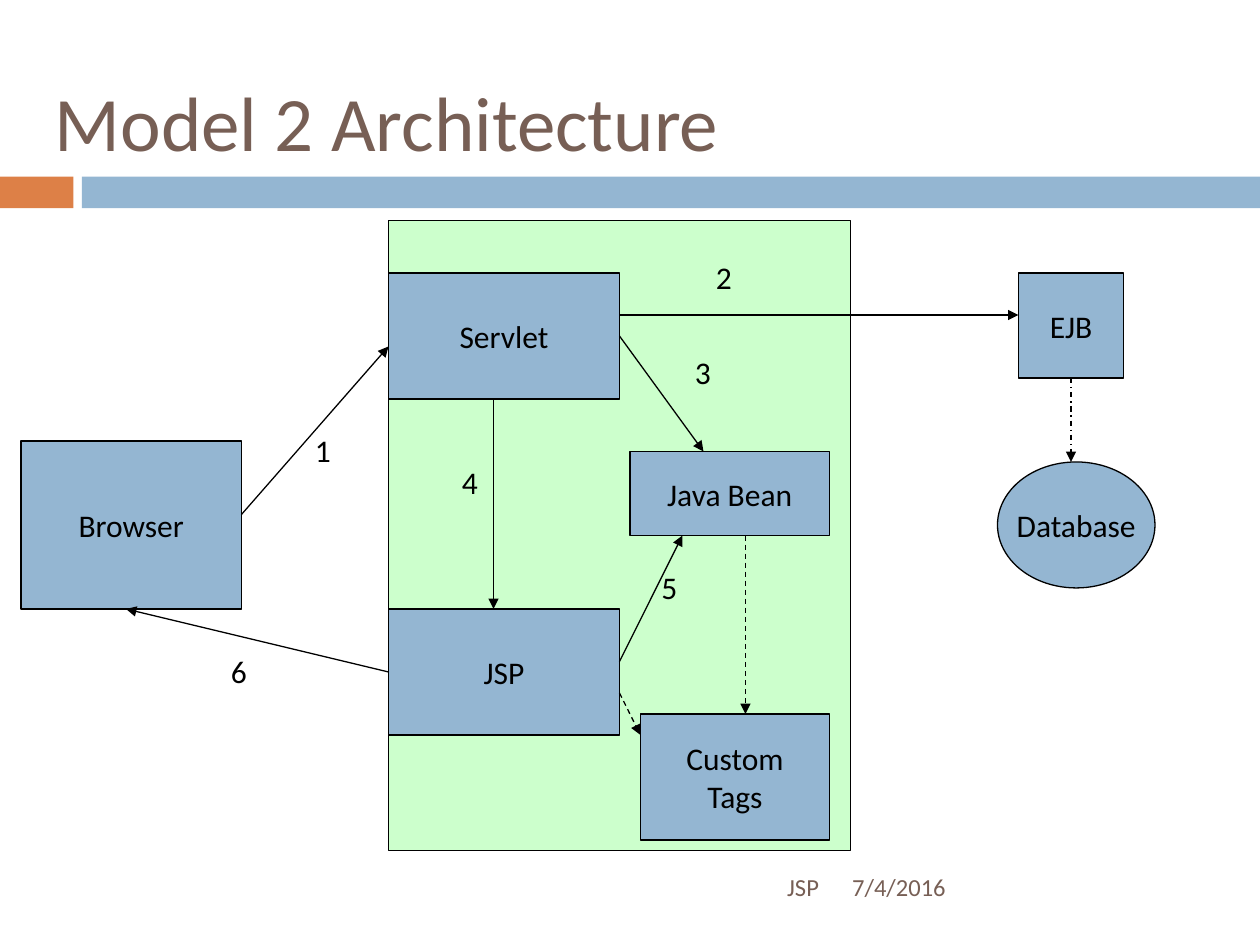
from lxml import etree
from pptx import Presentation
from pptx import util as u
from pptx.dml.color import RGBColor
from pptx.enum import dml, shapes, text
from pptx.oxml.ns import qn

UNIT = 2.54 / 12  # the diagram sits on a grid of this many cm
FONT = "Calibri"
HUES = {"ink": "000000", "brown": "775F55", "blue": "94B6D2",
        "orange": "DD8047", "green": "CCFFCC"}
RECT, OVAL = shapes.MSO_SHAPE.RECTANGLE, shapes.MSO_SHAPE.OVAL
LEFT, MID, RIGHT = text.PP_ALIGN.LEFT, text.PP_ALIGN.CENTER, text.PP_ALIGN.RIGHT
DASH, DOT = dml.MSO_LINE.DASH, dml.MSO_LINE.DASH_DOT

TITLE = ("Model 2 Architecture", (0.85, 0.85, 23.05, 3.18))
BARS = [("orange", (0, 3.56, 1.48, 0.64)), ("blue", (1.65, 3.56, 23.75, 0.64))]
FOOT = [("7/4/2016", LEFT, (16.93, 17.36, 7.41, 1.02)),
        ("JSP", RIGHT, (1.69, 17.36, 15.07, 1.02))]

# Grid units from here on
SERVER = (37, 21, 44, 60)
NODES = [
    (["Browser"], RECT, (2, 42, 21, 16)),
    (["JSP"], RECT, (37, 58, 22, 12)),
    (["Java Bean"], RECT, (60, 43, 19, 8)),
    (["Database"], OVAL, (95, 44, 15, 12)),
    (["Custom", "Tags"], RECT, (61, 68, 18, 12)),
    (["EJB"], RECT, (97, 26, 10, 10)),
    (["Servlet"], RECT, (37, 26, 22, 12)),
]
ARROWS = [
    ((23, 49, 37, 33), None),
    ((59, 30, 97, 30), None),
    ((59, 32, 67, 43), None),
    ((47, 38, 47, 58), None),
    ((59, 63, 65, 51), None),
    ((37, 64, 12, 58), None),
    ((102, 36, 102, 44), DOT),
    ((59, 66, 61, 70), DASH),
    ((71, 51, 71, 68), DASH),
]
STEPS = [("1", 28.8, 40.5), ("2", 67, 24), ("3", 65, 33),
         ("4", 42.8, 43.5), ("5", 61.8, 53.5), ("6", 20.8, 61.5)]


def hue(name):
    return RGBColor.from_string(HUES[name])


def cm(box):
    return [u.Cm(n) for n in box]


def grid(box):
    return cm(n * UNIT for n in box)


def write(shape, lines, size, tint="ink", align=LEFT,
          anchor=text.MSO_ANCHOR.MIDDLE, wrap=True):
    frame = shape.text_frame
    frame.word_wrap = wrap
    frame.vertical_anchor = anchor
    for i, line in enumerate(lines):
        para = frame.add_paragraph() if i else frame.paragraphs[0]
        para.alignment = align
        run = para.add_run()
        run.text = line
        run.font.name, run.font.size = FONT, u.Pt(size)
        run.font.color.rgb = hue(tint)
    return frame


def block(kind, box, tint, edge=True):
    shape = slide.shapes.add_shape(kind, *box)
    shape.shadow.inherit = False
    shape.fill.solid()
    shape.fill.fore_color.rgb = hue(tint)
    if edge:
        shape.line.color.rgb = hue("ink")
        shape.line.width = u.Pt(0.75)
    else:
        shape.line.fill.background()
    return shape


def arrow(ends, dash):
    link = slide.shapes.add_connector(shapes.MSO_CONNECTOR.STRAIGHT, *grid(ends))
    link.line.color.rgb = hue("ink")
    link.line.width = u.Pt(0.75)
    if dash:
        link.line.dash_style = dash
    props = link.line._get_or_add_ln()
    etree.SubElement(props, qn("a:tailEnd"), type="triangle")
    etree.SubElement(props.getparent(), qn("a:effectLst"))


deck = Presentation()
deck.slide_width, deck.slide_height = cm((25.4, 19.05))
slide = deck.slides.add_slide(deck.slide_layouts[5])

for tint, box in BARS:
    block(RECT, cm(box), tint, edge=False)

head = slide.shapes.title
head.left, head.top, head.width, head.height = cm(TITLE[1])
write(head, [TITLE[0]], 44, "brown").auto_size = text.MSO_AUTO_SIZE.NONE

for words, align, box in FOOT:
    write(slide.shapes.add_textbox(*cm(box)), [words], 14, "brown", align)

block(RECT, grid(SERVER), "green")
for lines, kind, box in NODES:
    write(block(kind, grid(box), "blue"), lines, 18, align=MID, wrap=False)
for ends, dash in ARROWS:
    arrow(ends, dash)
for num, x, y in STEPS:
    label = slide.shapes.add_textbox(*grid((x, y, 4.4, 6)))
    write(label, [num], 18, anchor=text.MSO_ANCHOR.TOP, wrap=False)

deck.save("out.pptx")
